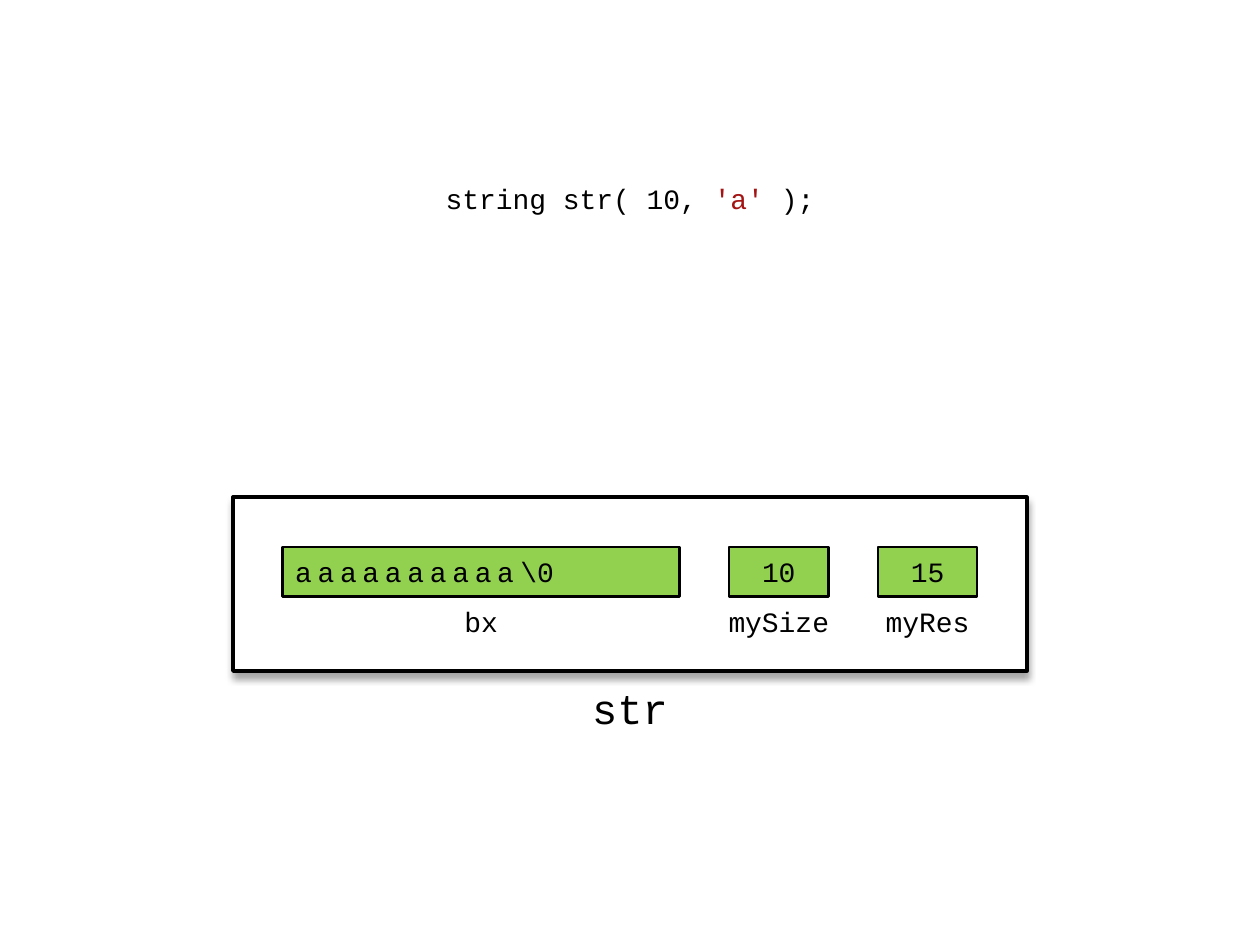
from dataclasses import dataclass

import lxml.etree
import pptx
import pptx.dml.color
import pptx.enum.shapes
import pptx.enum.text
import pptx.oxml.ns
import pptx.util

Color = pptx.dml.color.RGBColor
Align = pptx.enum.text.PP_ALIGN
Anchor = pptx.enum.text.MSO_ANCHOR
Preset = pptx.enum.shapes.MSO_SHAPE


@dataclass(frozen=True)
class Theme:
    font: str = "Courier New"
    code_size: int = 16
    name_size: int = 24
    ink: Color = Color(0, 0, 0)
    literal: Color = Color(0xA3, 0x15, 0x15)
    paper: Color = Color(255, 255, 255)
    memory: Color = Color(0x92, 0xD0, 0x50)
    frame_line: float = 2.25
    cell_line: float = 1.5


@dataclass(frozen=True)
class Span:
    text: str
    color: Color = Theme.ink
    spacing: float = 0


@dataclass(frozen=True)
class Area:
    """Grid position and extent, counted from the centre of the slide."""
    column: float
    row: float
    columns: float
    rows: float


@dataclass(frozen=True)
class Member:
    name: str
    value: tuple[Span, ...]
    columns: int
    label_columns: int
    align: Align = Align.CENTER


THEME = Theme()
STEP = pptx.util.Cm(0.5)
WIDTH, HEIGHT = pptx.util.Inches(10), pptx.util.Inches(7.5)
FRAME = Area(-16, 1, 32, 7)
GAP = 2
CELL_ROWS = 2

DECLARATION = (Span("string str( 10, "), Span("'a' ", THEME.literal), Span(");"))
MEMBERS = (
    Member("bx", (Span("aaaaaaaaaa", spacing=3.3), Span("\\", spacing=-1.5), Span("0")),
           16, 4, Align.LEFT),
    Member("mySize", (Span("10"),), 4, 6),
    Member("myRes", (Span("15"),), 4, 6),
)


def bounds(area: Area) -> tuple[int, int, int, int]:
    """Turn grid units into left, top, width and height."""
    return (int(WIDTH / 2 + area.column * STEP), int(HEIGHT / 2 + area.row * STEP),
            int(area.columns * STEP), int(area.rows * STEP))


def write(box, spans: tuple[Span, ...], size: int = THEME.code_size,
          align: Align = Align.CENTER, anchor: Anchor = Anchor.MIDDLE) -> None:
    frame = box.text_frame
    frame.word_wrap = True
    frame.auto_size = pptx.enum.text.MSO_AUTO_SIZE.NONE
    frame.vertical_anchor = anchor
    para = frame.paragraphs[0]
    para.alignment = align
    for span in spans:
        run = para.add_run()
        run.text = span.text
        run.font.name = THEME.font
        run.font.size = pptx.util.Pt(size)
        run.font.color.rgb = span.color
        if span.spacing:
            run.font._element.set("spc", str(round(span.spacing * 100)))


def draw_box(page, area: Area, preset: Preset, fill: Color | None = None,
             line: float | None = None):
    box = page.shapes.add_shape(preset, *bounds(area))
    box.shadow.inherit = False
    if fill is None:
        box.fill.background()
    else:
        box.fill.solid()
        box.fill.fore_color.rgb = fill
    if line is None:
        box.line.fill.background()
    else:
        box.line.color.rgb = THEME.ink
        box.line.width = pptx.util.Pt(line)
    return box


def drop_shadow(box) -> None:
    qn = pptx.oxml.ns.qn
    effects = box._element.spPr.find(qn("a:effectLst"))
    shadow = lxml.etree.SubElement(
        effects, qn("a:outerShdw"), blurRad=str(pptx.util.Pt(4)),
        dist=str(pptx.util.Pt(3)), dir=str(90 * 60000), rotWithShape="0")
    color = lxml.etree.SubElement(shadow, qn("a:srgbClr"), val=str(THEME.ink))
    lxml.etree.SubElement(color, qn("a:alpha"), val="35000")


def draw_declaration(page) -> None:
    title, body = page.placeholders
    title._element.getparent().remove(title._element)
    body.left, body.top, body.width, body.height = bounds(Area(-8, -12, 16, 2))
    para = body.text_frame.paragraphs[0]
    para.space_before = pptx.util.Pt(0)
    properties = para._element.get_or_add_pPr()
    properties.set("marL", "0")
    properties.set("indent", "0")
    lxml.etree.SubElement(properties, pptx.oxml.ns.qn("a:buNone"))
    write(body, DECLARATION, anchor=Anchor.TOP)


def draw_object(page) -> None:
    """Draw the framed object, its name below and its members inside."""
    name = page.shapes.add_textbox(*bounds(Area(-3, FRAME.row + FRAME.rows, 6, 3)))
    write(name, (Span("str"),), THEME.name_size)
    frame = draw_box(page, FRAME, Preset.FLOWCHART_PROCESS,
                     THEME.paper, THEME.frame_line)
    drop_shadow(frame)
    column = FRAME.column + GAP
    for member in MEMBERS:
        draw_member(page, member, column)
        column += member.columns + GAP


def draw_member(page, member: Member, column: float) -> None:
    """Draw a memory cell with its name centred below."""
    row = FRAME.row + GAP
    cell = draw_box(page, Area(column, row, member.columns, CELL_ROWS),
                    Preset.RECTANGLE, THEME.memory, THEME.cell_line)
    write(cell, member.value, align=member.align)
    label_column = column + (member.columns - member.label_columns) / 2
    label = draw_box(page, Area(label_column, row + CELL_ROWS,
                                member.label_columns, CELL_ROWS),
                     Preset.FLOWCHART_PROCESS)
    write(label, (Span(member.name),))


def main() -> None:
    deck = pptx.Presentation()
    deck.slide_width, deck.slide_height = WIDTH, HEIGHT
    page = deck.slides.add_slide(deck.slide_layouts[1])
    draw_declaration(page)
    draw_object(page)
    deck.save("out.pptx")


if __name__ == "__main__":
    main()
